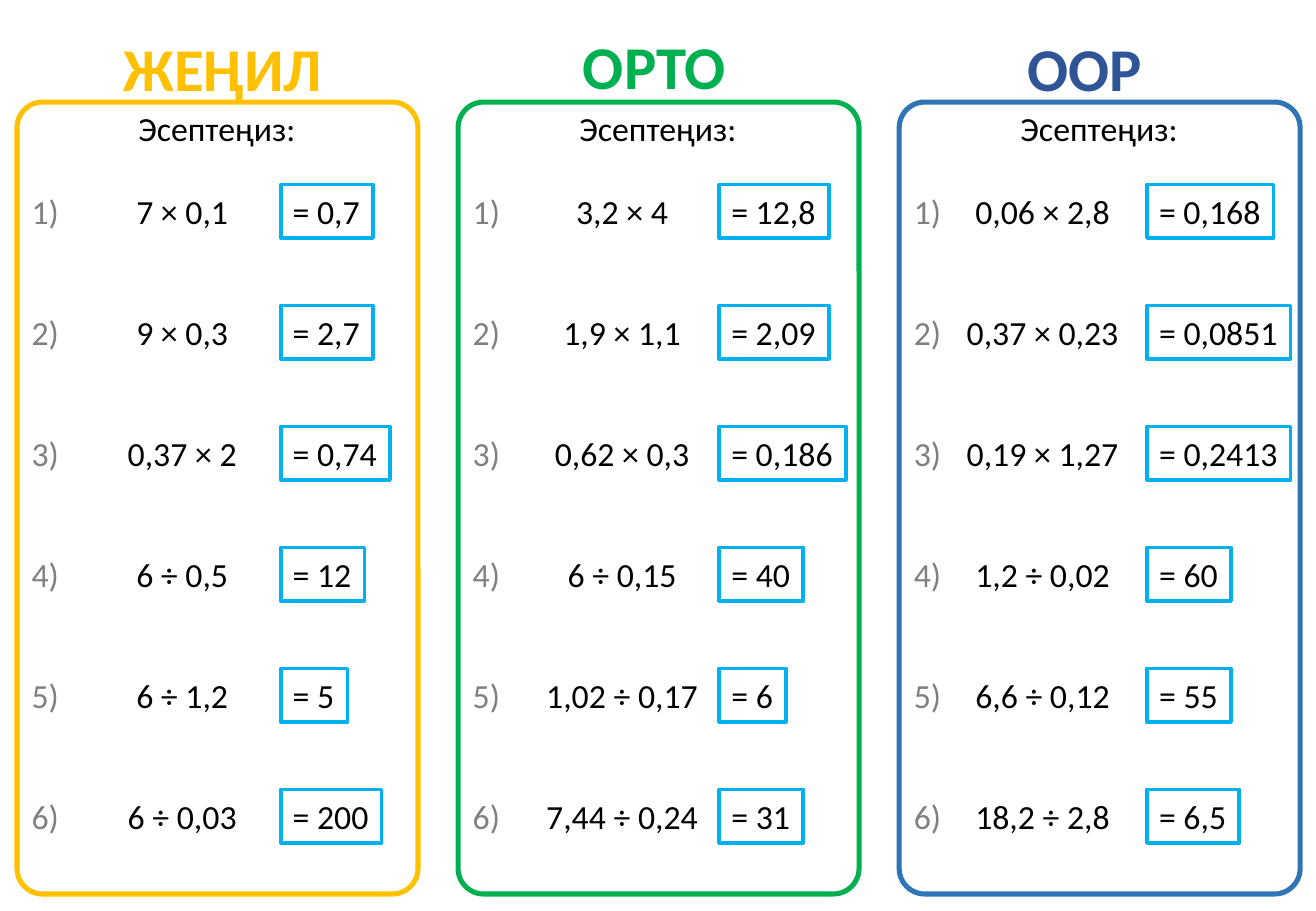
from pptx import Presentation
from pptx.dml.color import RGBColor
from pptx.enum.shapes import MSO_SHAPE
from pptx.enum.text import MSO_ANCHOR, MSO_AUTO_SIZE, PP_ALIGN
from pptx.util import Inches, Pt

PANEL_LEFT, PANEL_PITCH, PANEL_TOP = 0.14, 3.63, 0.84
ROW_TOP, ROW_BOTTOM, ROWS = 1.52, 6.5, 6
LINE_HEIGHT = 0.44
CENTER, LEFT = PP_ALIGN.CENTER, PP_ALIGN.LEFT

# Each level: panel colour, task centre, answer left, (task, answer) pairs
LEVELS = [
    ("FFC000", 1.5, 2.31, [
        ("7 × 0,1", "= 0,7"), ("9 × 0,3", "= 2,7"), ("0,37 × 2", "= 0,74"),
        ("6 ÷ 0,5", "= 12"), ("6 ÷ 1,2", "= 5"), ("6 ÷ 0,03", "= 200")]),
    ("00B050", 5.12, 5.92, [
        ("3,2 × 4", "= 12,8"), ("1,9 × 1,1", "= 2,09"), ("0,62 × 0,3", "= 0,186"),
        ("6 ÷ 0,15", "= 40"), ("1,02 ÷ 0,17", "= 6"), ("7,44 ÷ 0,24", "= 31")]),
    ("2E75B6", 8.58, 9.44, [
        ("0,06 × 2,8", "= 0,168"), ("0,37 × 0,23", "= 0,0851"),
        ("0,19 × 1,27", "= 0,2413"), ("1,2 ÷ 0,02", "= 60"),
        ("6,6 ÷ 0,12", "= 55"), ("18,2 ÷ 2,8", "= 6,5")]),
]


def rgb(value):
    return RGBColor.from_string(value)


def text_width(text, base):
    """Estimate a box width from the digits and commas it holds."""
    digits = sum(c.isdigit() for c in text)
    return base + 0.14 * digits + 0.07 * text.count(",")


class Worksheet:
    font, size, black, white = "Calibri", 20, "000000", "FFFFFF"
    grey, answer_line = "808080", "00B0F0"

    def __init__(self, slide):
        self.slide = slide

    def shape(self, kind, x, y, w, h, fill=None, line=None, weight=1):
        s = self.slide.shapes.add_shape(kind, Inches(x), Inches(y), Inches(w), Inches(h))
        s.shadow.inherit = False
        if fill:
            s.fill.solid()
            s.fill.fore_color.rgb = rgb(fill)
        else:
            s.fill.background()
        if line:
            s.line.color.rgb = rgb(line)
            s.line.width = Pt(weight)
        else:
            s.line.fill.background()
        return s

    def set_text(self, s, text, align, color=black, size=size, bold=False, wrap=False,
                 fit=True, anchor=MSO_ANCHOR.TOP):
        tf = s.text_frame
        tf.word_wrap = wrap
        tf.auto_size = MSO_AUTO_SIZE.SHAPE_TO_FIT_TEXT if fit else MSO_AUTO_SIZE.NONE
        tf.vertical_anchor = anchor
        p = tf.paragraphs[0]
        p.alignment = align
        r = p.add_run()
        r.text = text
        r.font.name, r.font.size, r.font.bold = self.font, Pt(size), bold
        r.font.color.rgb = rgb(color)

    def text(self, text, x, y, w, h=LINE_HEIGHT, align=CENTER, **style):
        s = self.slide.shapes.add_textbox(Inches(x), Inches(y), Inches(w), Inches(h))
        self.set_text(s, text, align, **style)
        return s

    def panel(self, x, color):
        s = self.shape(MSO_SHAPE.ROUNDED_RECTANGLE, x, PANEL_TOP, 3.3, 6.52,
                       line=color, weight=3)
        s.adjustments[0] = 0.064

    def number(self, text, x, y):
        tf = self.text(text, x, y, 0.35, 0.34, LEFT, color=self.grey).text_frame
        tf.margin_left = Inches(0.12)
        tf.margin_top = tf.margin_right = tf.margin_bottom = 0

    def task(self, text, center, y):
        w = text_width(text, 0.47)
        self.text(text, center - w / 2, y, w)

    def answer(self, text, x, y):
        s = self.shape(MSO_SHAPE.RECTANGLE, x, y, text_width(text, 0.41), LINE_HEIGHT,
                       self.white, self.answer_line, 2.25)
        self.set_text(s, text, LEFT)

    def title(self, text, x, w, color):
        self.text(text, x, 0.2, w, 0.71, color=color, size=36, bold=True, wrap=True)

    def title_block(self, text, x, w, color):
        s = self.shape(MSO_SHAPE.RECTANGLE, x, 0.28, w, 0.51, self.white)
        self.set_text(s, text, CENTER, color, 36, True, True, False, MSO_ANCHOR.MIDDLE)


def main():
    prs = Presentation()
    prs.slide_width, prs.slide_height = Inches(10.83), Inches(7.5)
    sheet = Worksheet(prs.slides.add_slide(prs.slide_layouts[6]))

    row_pitch = (ROW_BOTTOM - ROW_TOP) / (ROWS - 1)
    for col, (color, task_center, answer_left, pairs) in enumerate(LEVELS):
        x = PANEL_LEFT + col * PANEL_PITCH
        sheet.panel(x, color)
        for row, (task, answer) in enumerate(pairs):
            y = ROW_TOP + row * row_pitch
            sheet.number(f"{row + 1})", x, y + 0.05)
            sheet.answer(answer, answer_left, y)
            sheet.task(task, task_center, y)
        sheet.text("Эсептеңиз:", x + 0.89, PANEL_TOP, 1.51)

    sheet.title("ЖЕҢИЛ", 0.65, 2.37, "FFC000")
    sheet.title_block("ОРТО", 4.54, 1.69, "00B050")
    sheet.title("ООР", 8.21, 1.43, "2F5597")
    prs.save("out.pptx")


if __name__ == "__main__":
    main()
